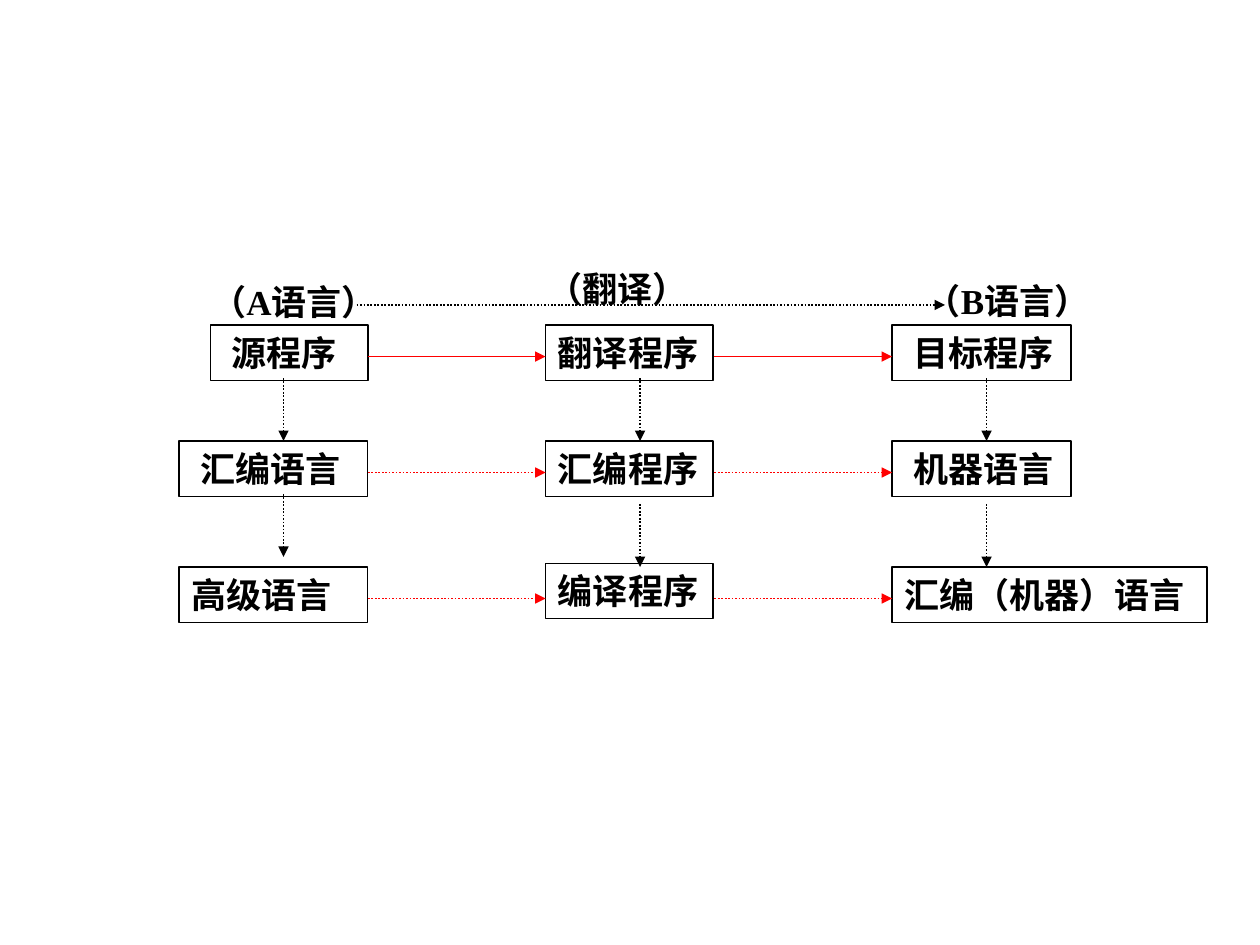
from lxml.etree import SubElement
from pptx import Presentation
from pptx.dml.color import RGBColor
from pptx.enum.dml import MSO_LINE
from pptx.enum.shapes import MSO_CONNECTOR, MSO_SHAPE
from pptx.enum.text import MSO_ANCHOR, PP_ALIGN
from pptx.oxml.ns import qn
from pptx.util import Inches, Pt

COLORS = {"ink": "000000", "flow": "FF0000"}
FONT = {"name": "Times New Roman", "size": Pt(20), "bold": True}


def write_label(box, text, indent=0):
    frame = box.text_frame
    layout = {
        "word_wrap": True,
        "vertical_anchor": MSO_ANCHOR.TOP,
        "margin_left": Inches(0.1 + indent),
        "margin_right": Inches(0.1),
        "margin_top": Inches(0.05),
        "margin_bottom": Inches(0.05),
    }
    for name, value in layout.items():
        setattr(frame, name, value)
    para = frame.paragraphs[0]
    para.alignment = PP_ALIGN.LEFT
    span = para.add_run()
    span.text = text
    for name, value in FONT.items():
        setattr(span.font, name, value)
    span.font.color.rgb = RGBColor.from_string(COLORS["ink"])


def add_arrow(start_x, start_y, end_x, end_y, color, dash=MSO_LINE.ROUND_DOT):
    ends = [Inches(value) for value in (start_x, start_y, end_x, end_y)]
    arrow = page.shapes.add_connector(MSO_CONNECTOR.STRAIGHT, *ends)
    arrow.line.color.rgb = RGBColor.from_string(COLORS[color])
    arrow.line.width = Pt(1)
    arrow.line.dash_style = dash
    SubElement(arrow.line._get_or_add_ln(), qn("a:tailEnd"), type="triangle")
    SubElement(arrow._element.spPr, qn("a:effectLst"))


deck = Presentation()
deck.slide_width = Inches(10)
deck.slide_height = Inches(7.5)
page = deck.slides.add_slide(deck.slide_layouts[6])

headings = [("（A语言）", 1.58, 2.18), ("（B语言）", 7.25, 2.17), ("（翻译）", 4.25, 2.07)]
for text, left, top in headings:
    box = page.shapes.add_textbox(Inches(left), Inches(top), Inches(1.67), Inches(0.44))
    write_label(box, text)

steps = [
    ("源程序", 1.67, 2.58, 1.25, 0.07),
    ("翻译程序", 4.33, 2.58, 1.33, 0),
    ("目标程序", 7.08, 2.58, 1.42, 0.07),
    ("汇编语言", 1.42, 3.5, 1.5, 0.07),
    ("汇编程序", 4.33, 3.5, 1.33, 0),
    ("机器语言", 7.08, 3.5, 1.42, 0.07),
    ("高级语言", 1.42, 4.5, 1.5, 0),
    ("编译程序", 4.33, 4.47, 1.33, 0),
    ("汇编（机器）语言", 7.08, 4.5, 2.5, 0),
]
for text, left, top, width, indent in steps:
    box = page.shapes.add_shape(
        MSO_SHAPE.RECTANGLE, Inches(left), Inches(top), Inches(width), Inches(0.44)
    )
    box.shadow.inherit = False
    box.fill.background()
    box.line.color.rgb = RGBColor.from_string(COLORS["ink"])
    box.line.width = Pt(0.75)
    write_label(box, text, indent)

add_arrow(2.83, 2.42, 7.5, 2.42, "ink")
for y, dash in [(2.83, MSO_LINE.SOLID), (3.75, MSO_LINE.ROUND_DOT), (4.75, MSO_LINE.ROUND_DOT)]:
    for start, end in [(2.92, 4.33), (5.67, 7.08)]:
        add_arrow(start, y, end, y, "flow", dash)

for x, second_top in [(2.25, 3.92), (5.08, 4), (7.83, 4)]:
    for top in (3, second_top):
        add_arrow(x, top, x, top + 0.5, "ink")

deck.save("out.pptx")
